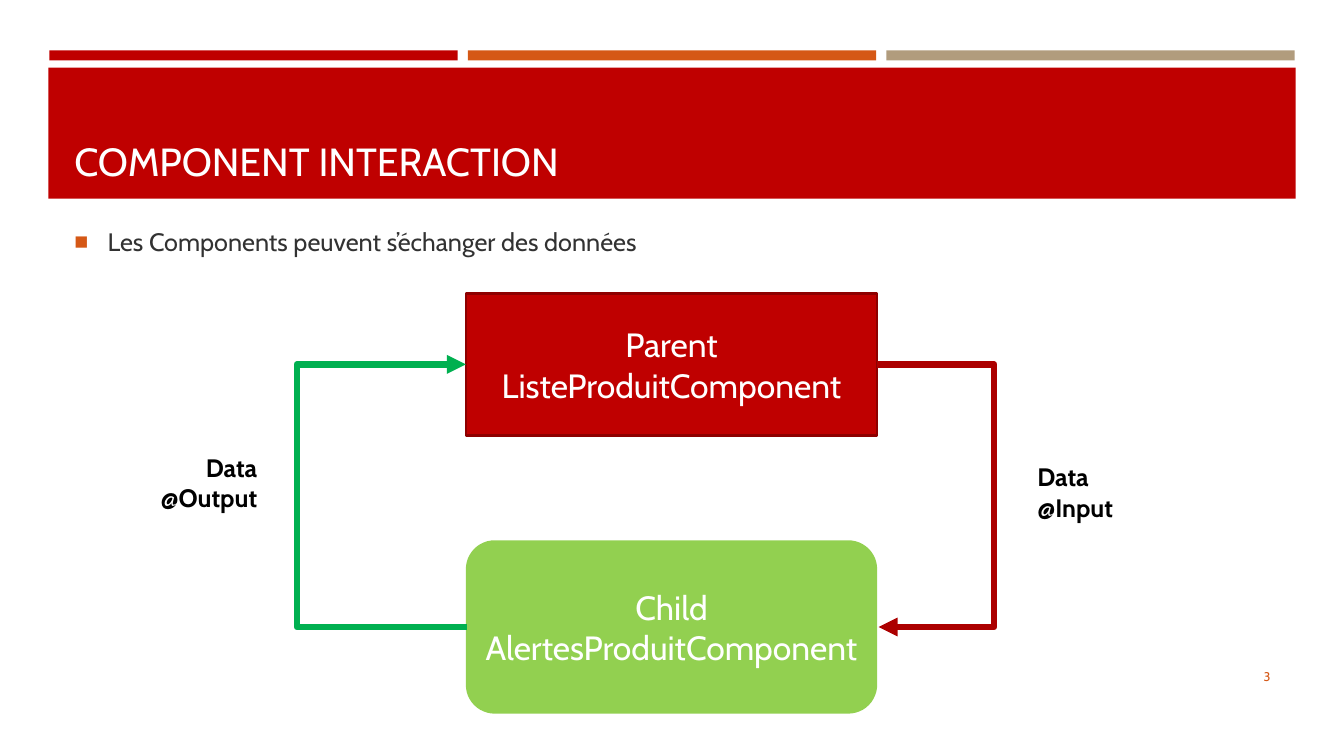
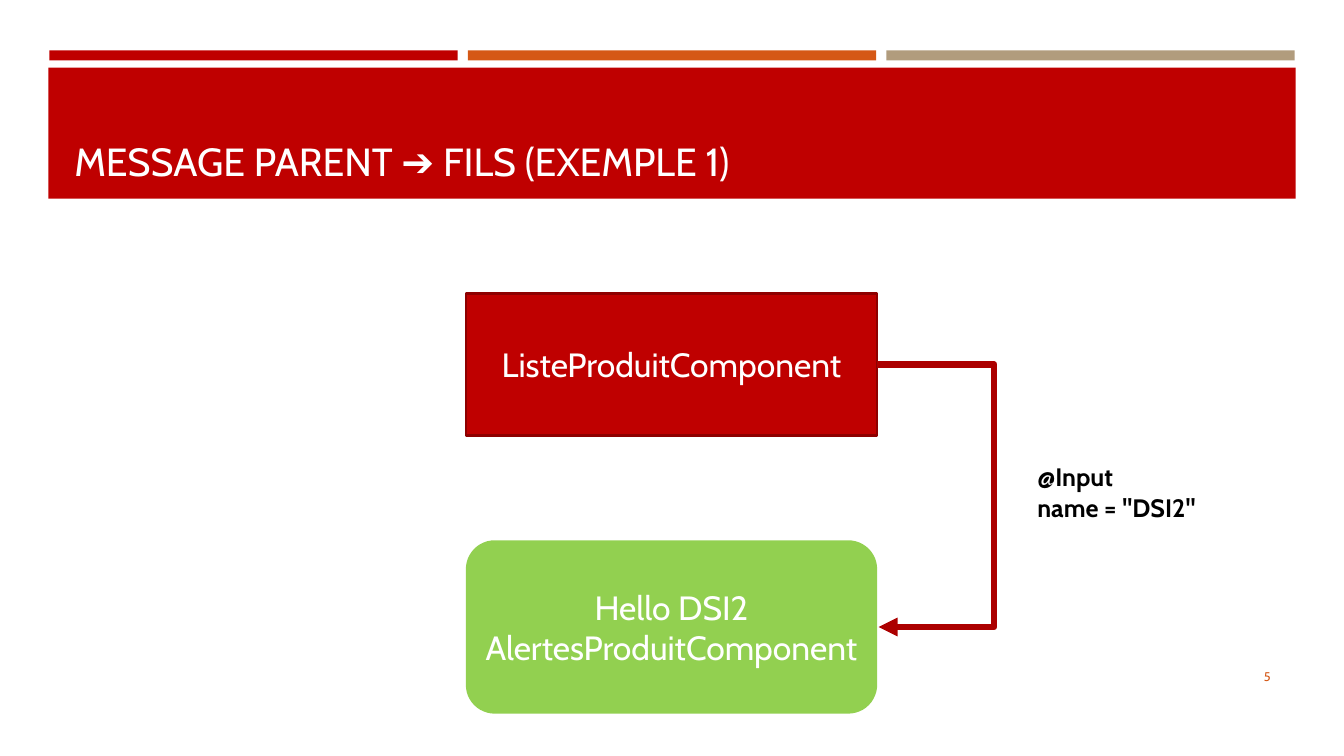
from lxml import etree
from pptx import Presentation
from pptx.dml.color import RGBColor
from pptx.enum.shapes import MSO_CONNECTOR as Connector, MSO_SHAPE as Shape
from pptx.enum.text import MSO_ANCHOR as Anchor, PP_ALIGN as Align
from pptx.oxml.ns import qn
from pptx.util import Inches, Pt

FONT = "Cabin"
COLORS = {
    "red": "BF0000",
    "red_border": "8D0000",
    "red_arrow": "AC0000",
    "orange": "D55816",
    "sand": "B19C7D",
    "light_green": "92D050",
    "green_arrow": "00B050",
    "white": "FFFFFF",
    "black": "000000",
    "body": "323232",
}
LEFT_SIDE, RIGHT_SIDE = 1, 3
BOX_LEFT, BOX_WIDTH = 4.62, 4.08


def color(name):
    return RGBColor.from_string(COLORS[name])


def write(shape, text, size=18, ink="black", bold=False,
          align=Align.LEFT, anchor=Anchor.TOP, bullet=None):
    """Write one paragraph per line of text; bullet names the marker's colour."""
    frame = shape.text_frame
    frame.word_wrap = True
    frame.vertical_anchor = anchor
    for index, line in enumerate(text.split("\n")):
        paragraph = frame.paragraphs[0] if index == 0 else frame.add_paragraph()
        paragraph.alignment = align
        if bullet:
            add_bullet(paragraph, bullet)
        run = paragraph.add_run()
        run.text = line
        run.font.name = FONT
        run.font.size = Pt(size)
        run.font.bold = bold
        run.font.color.rgb = color(ink)


def add_bullet(paragraph, ink):
    properties = paragraph._p.get_or_add_pPr()
    indent = Inches(0.33)
    properties.set("marL", str(indent))
    properties.set("indent", str(-indent))
    marker_color = etree.SubElement(properties, qn("a:buClr"))
    etree.SubElement(marker_color, qn("a:srgbClr"), val=COLORS[ink])
    etree.SubElement(properties, qn("a:buSzPct"), val="92000")
    etree.SubElement(properties, qn("a:buFont"), typeface="Arial")
    etree.SubElement(properties, qn("a:buChar"), char="■")


class Deck:
    """Holds the presentation, its style and the current slide."""

    def __init__(self):
        self.presentation = Presentation()
        self.presentation.slide_width = Inches(13.33)
        self.presentation.slide_height = Inches(7.5)
        self.slide = None

    def add_slide(self, title, number):
        layout = self.presentation.slide_layouts[6]
        self.slide = self.presentation.slides.add_slide(layout)
        for index, fill in enumerate(("red", "orange", "sand")):
            self.box(0.49 + index * 4.15, 0.5, 4.05, 0.1, fill)
        self.box(0.48, 0.67, 12.37, 1.3, "red")
        self.text(0.64, 0.77, 12.06, 1.11, title, size=28, ink="white",
                  anchor=Anchor.BOTTOM)
        self.text(11.55, 6.51, 1.15, 0.4, str(number), size=9, ink="orange",
                  align=Align.RIGHT, anchor=Anchor.MIDDLE)

    def box(self, left, top, width, height, fill, kind=Shape.RECTANGLE,
            border=None, text=None):
        shape = self.slide.shapes.add_shape(
            kind, Inches(left), Inches(top), Inches(width), Inches(height))
        shape.shadow.inherit = False
        shape.fill.solid()
        shape.fill.fore_color.rgb = color(fill)
        if border:
            shape.line.color.rgb = color(border)
            shape.line.width = Pt(1.75)
        else:
            shape.line.fill.background()
        if text:
            write(shape, text, size=24, ink="white", align=Align.CENTER,
                  anchor=Anchor.MIDDLE)
        return shape

    def text(self, left, top, width, height, text, **style):
        shape = self.slide.shapes.add_textbox(
            Inches(left), Inches(top), Inches(width), Inches(height))
        write(shape, text, **style)

    def components(self, parent_text, child_text):
        parent = self.box(BOX_LEFT, 2.91, BOX_WIDTH, 1.41, "red",
                          border="red_border", text=parent_text)
        child = self.box(BOX_LEFT, 5.36, BOX_WIDTH, 1.72, "light_green",
                         kind=Shape.FLOWCHART_ALTERNATE_PROCESS, text=child_text)
        return parent, child

    def loop(self, parent, child, side, reach, ink, arrow_end):
        """Join the same side of both boxes, bulging sideways by reach inches."""
        x = parent.left + (parent.width if side == RIGHT_SIDE else 0)
        # Starting in place, top to bottom, keeps the connector unflipped.
        connector = self.slide.shapes.add_connector(
            Connector.ELBOW, x, parent.top, x, child.top + child.height)
        connector.begin_connect(parent, side)
        connector.end_connect(child, side)
        # The bend is a share of the width, so the width must not be zero.
        connector.width = Pt(1)
        bend = round(Inches(reach) / Pt(1) * 100000)
        properties = connector._element.spPr
        guides = properties.find(qn("a:prstGeom")).get_or_add_avLst()
        etree.SubElement(guides, qn("a:gd"), name="adj1", fmla=f"val {bend}")
        connector.line.color.rgb = color(ink)
        connector.line.width = Pt(4.5)
        line = connector.line._get_or_add_ln()
        etree.SubElement(line, qn("a:round"))
        etree.SubElement(line, qn(f"a:{arrow_end}"), type="triangle")
        etree.SubElement(properties, qn("a:effectLst"))

    def input_loop(self, parent, child, label, label_width):
        self.loop(parent, child, RIGHT_SIDE, 1.17, "red_arrow", "tailEnd")
        self.text(10.19, 4.53, label_width, 0.71, label, bold=True)

    def output_loop(self, parent, child, label):
        self.loop(parent, child, LEFT_SIDE, -1.69, "green_arrow", "headEnd")
        self.text(1.07, 4.44, 1.58, 0.71, label, bold=True, align=Align.RIGHT)


def main():
    deck = Deck()

    deck.add_slide("COMPONENT INTERACTION", 3)
    deck.text(0.64, 2.08, 12.06, 0.63,
              "Les Components peuvent s’échanger des données",
              ink="body", anchor=Anchor.MIDDLE, bullet="orange")
    parent, child = deck.components("Parent\nListeProduitComponent",
                                    "Child\nAlertesProduitComponent")
    deck.input_loop(parent, child, "Data\n@Input", 1.44)
    deck.output_loop(parent, child, "Data\n@Output")

    deck.add_slide("MESSAGE PARENT ➔ FILS (EXEMPLE 1)", 5)
    parent, child = deck.components("ListeProduitComponent",
                                    "Hello DSI2\nAlertesProduitComponent")
    deck.input_loop(parent, child, '@Input\nname = "DSI2"', 2.33)

    deck.presentation.save("out.pptx")


if __name__ == "__main__":
    main()
